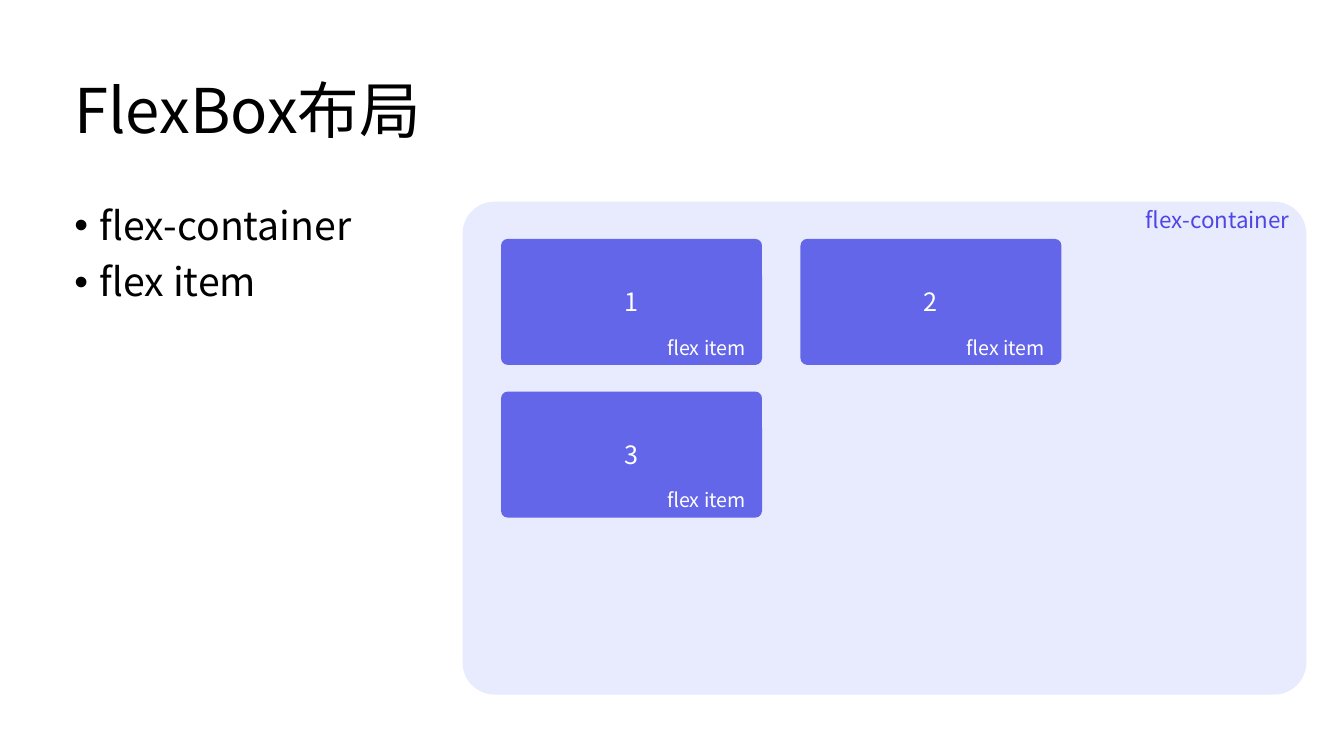
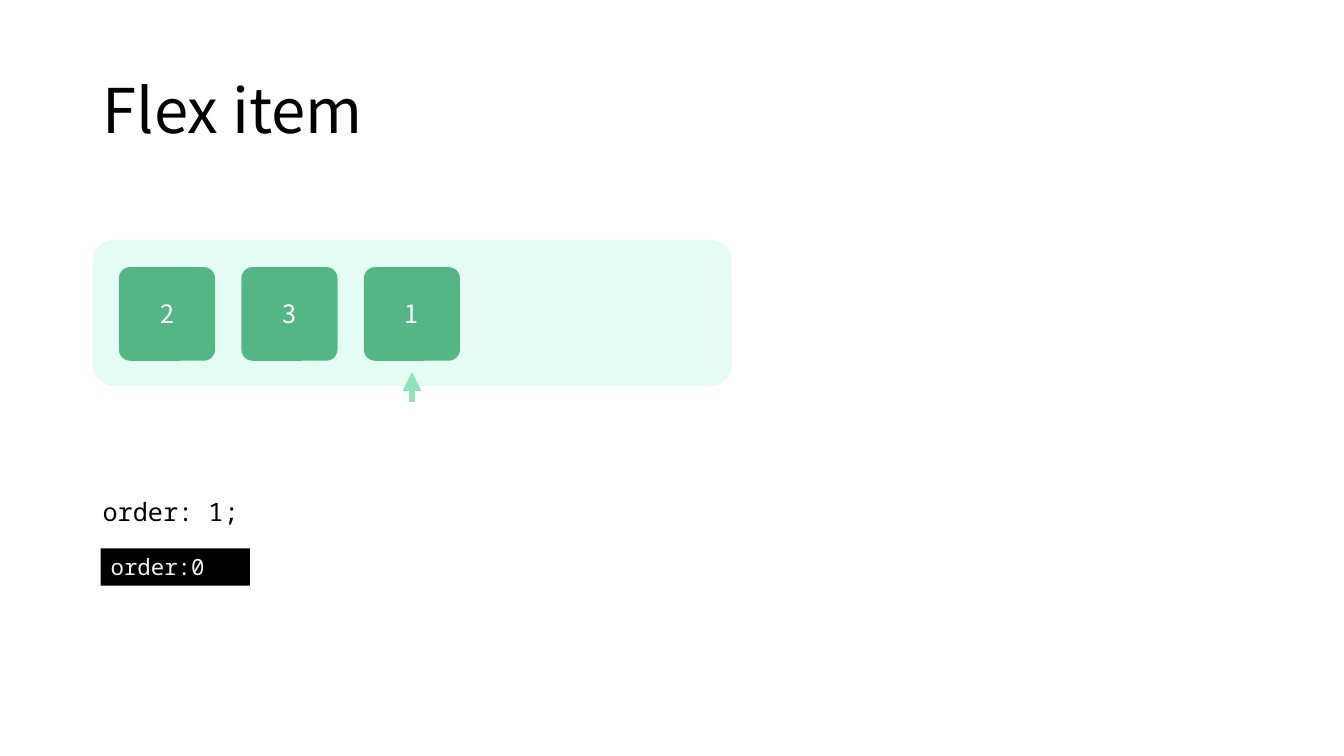
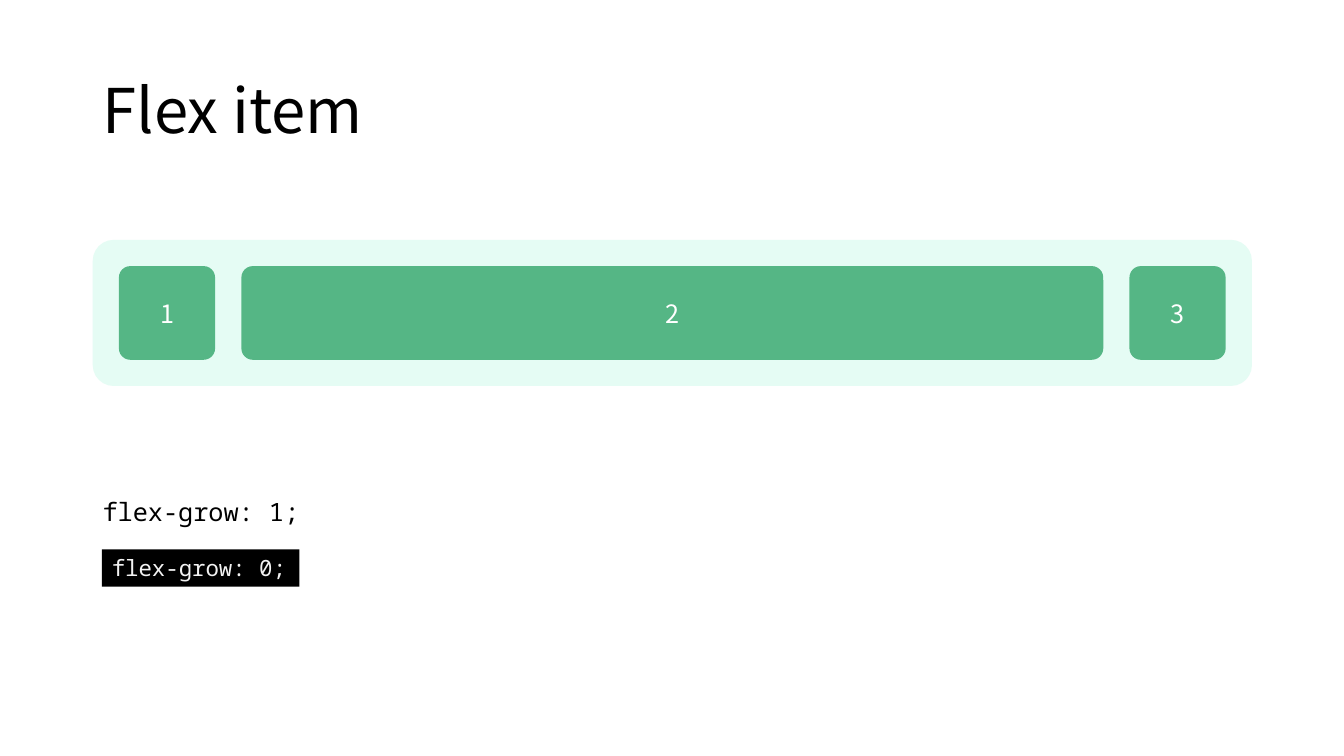
from dataclasses import dataclass
from typing import Optional

from lxml.etree import SubElement as sub
from pptx import Presentation
from pptx.dml.color import RGBColor
from pptx.enum.shapes import MSO_CONNECTOR as Conn, MSO_SHAPE as Kind
from pptx.enum.text import MSO_ANCHOR as Anchor, MSO_AUTO_SIZE as Fit, PP_ALIGN as Align
from pptx.oxml.ns import qn
from pptx.shapes.base import BaseShape as Shape
from pptx.slide import Slide
from pptx.util import Inches, Pt

# Colours and fonts
BLACK = RGBColor(0x00, 0x00, 0x00)
WHITE = RGBColor(0xFF, 0xFF, 0xFF)
PALE = RGBColor(0xF2, 0xF2, 0xF2)
LILAC = RGBColor(0xE7, 0xEB, 0xFD)
VIOLET = RGBColor(0x64, 0x66, 0xE9)
INDIGO = RGBColor(0x4F, 0x46, 0xE5)
MINT = RGBColor(0xE5, 0xFC, 0xF4)
GREEN = RGBColor(0x55, 0xB6, 0x85)
LIME = RGBColor(0x8E, 0xE4, 0xBA)
SANS = "Noto Sans CJK SC"
MONO = "Noto Sans Mono"

# Grid: 100 columns by 100 rows
deck = Presentation()
deck.slide_width, deck.slide_height = Inches(13.33), Inches(7.5)
COL = deck.slide_width / 100
ROW = deck.slide_height / 100


@dataclass(frozen=True)
class Box:
    x: float
    y: float
    w: float
    h: float

    def emu(self) -> tuple[int, int, int, int]:
        return (round(self.x * COL), round(self.y * ROW),
                round(self.w * COL), round(self.h * ROW))

    def corner(self, w: float, h: float, low: bool = False) -> "Box":
        """Box of the given size in the right-hand corner."""
        top = self.y + self.h - h if low else self.y
        return Box(self.x + self.w - w, top, w, h)


@dataclass(frozen=True)
class Style:
    size: float
    color: RGBColor
    font: str = SANS


@dataclass(frozen=True)
class Demo:
    labels: str
    width: float
    top: float
    code: str
    base: str
    note: Box
    grow: Optional[str] = None
    mark: Optional[str] = None


HEAD = Style(44, BLACK)
BODY = Style(28, BLACK)
ITEM = Style(18, WHITE)
SMALL = Style(14, WHITE)
TAG = Style(16, INDIGO)
CODE = Style(18, BLACK, MONO)
NOTE = Style(16, PALE, MONO)


# Shared parts
def write(shape: Shape, text: str, style: Style) -> None:
    frame = shape.text_frame
    frame.word_wrap = True
    frame.text = text
    for para in frame.paragraphs:
        for run in para.runs:
            run.font.size = Pt(style.size)
            run.font.color.rgb = style.color
            run.font.name = style.font
            sub(run.font._element, qn("a:ea"), typeface=style.font)


def label(page: Slide, box: Box, text: str, style: Style,
          fill: Optional[RGBColor] = None, fit: bool = True) -> Shape:
    shape = page.shapes.add_textbox(*box.emu())
    write(shape, text, style)
    if fit:
        shape.text_frame.auto_size = Fit.SHAPE_TO_FIT_TEXT
    if fill is not None:
        shape.fill.solid()
        shape.fill.fore_color.rgb = fill
    return shape


def panel(page: Slide, box: Box, fill: RGBColor, curve: float, text: str = "") -> None:
    shape = page.shapes.add_shape(Kind.ROUNDED_RECTANGLE, *box.emu())
    shape.adjustments[0] = curve
    shape.shadow.inherit = False
    shape.fill.solid()
    shape.fill.fore_color.rgb = fill
    shape.line.fill.background()
    if text:
        write(shape, text, ITEM)
        shape.text_frame.vertical_anchor = Anchor.MIDDLE
        shape.text_frame.paragraphs[0].alignment = Align.CENTER


def start(title: str, left: float) -> Slide:
    page = deck.slides.add_slide(deck.slide_layouts[6])
    shape = label(page, Box(left, 5.33, 86.25, 19.33), title, HEAD, fit=False)
    shape.text_frame.vertical_anchor = Anchor.MIDDLE
    shape.text_frame.paragraphs[0].line_spacing = 0.9
    return page


def bullets(page: Slide, box: Box, lines: list[str]) -> None:
    shape = label(page, box, "\n".join(lines), BODY, fit=False)
    for para in shape.text_frame.paragraphs:
        para.line_spacing = 0.9
        para.space_before = Pt(10)
        props = para._p.get_or_add_pPr()
        props.set("marL", str(Inches(0.25)))
        props.set("indent", str(-Inches(0.25)))
        sub(props, qn("a:buFont"), typeface="Arial")
        sub(props, qn("a:buChar"), char="•")


def arrow(page: Slide, x: float, low: float, high: float) -> None:
    spot = round(x * COL)
    line = page.shapes.add_connector(
        Conn.STRAIGHT, spot, round(low * ROW), spot, round(high * ROW))
    line.line.color.rgb = LIME
    line.line.width = Pt(4.5)
    props = line.element.spPr
    sub(props.find(qn("a:ln")), qn("a:tailEnd"), type="triangle")
    sub(props, qn("a:effectLst"))


# Container with wrapped items
def intro() -> None:
    page = start("FlexBox布局", 4.8)
    bullets(page, Box(4.8, 26.67, 24.82, 63.47), ["flex-container", "flex item"])
    frame = Box(34.42, 26.67, 62.78, 65.2)
    panel(page, frame, LILAC, 0.065)
    label(page, frame.corner(12.68, 4.93), "flex-container", TAG)
    for i in range(3):
        row, col = divmod(i, 2)
        card = Box(37.28 + col * 22.28, 31.6 + row * 20.2, 19.42, 16.67)
        panel(page, card, VIOLET, 0.053, str(i + 1))
        label(page, card.corner(7.8, 4.53, low=True), "flex item", SMALL)


# One row of items with its property and default
LEFT, PAD, SIDE = 6.9, 1.95, 7.16


def show(demo: Demo) -> None:
    page = start("Flex item", LEFT)
    panel(page, Box(LEFT, 31.73, demo.width, 19.33), MINT, 0.143)
    count = len(demo.labels)
    spare = demo.width - (count + 1) * PAD - (count - 1) * SIDE
    x = LEFT + PAD
    for text in demo.labels:
        wide = spare if text == demo.grow else SIDE
        panel(page, Box(x, demo.top, wide, 12.4), GREEN, 0.122, text)
        if text == demo.mark:
            arrow(page, x + wide / 2, 53.2, 49.2)
        x += wide + PAD
    label(page, Box(LEFT, 64.93, 21.98, 5.33), demo.code, CODE)
    label(page, demo.note, demo.base, NOTE, BLACK)


DEMOS = [
    Demo("231", 47.55, 35.33, "order: 1;", "order:0",
         Box(7.5, 72.53, 11.1, 4.93), mark="1"),
    Demo("123", 86.25, 35.2, "flex-grow: 1;", "flex-grow: 0;",
         Box(7.58, 72.67, 14.7, 4.93), grow="2"),
]

intro()
for demo in DEMOS:
    show(demo)
deck.save("out.pptx")
